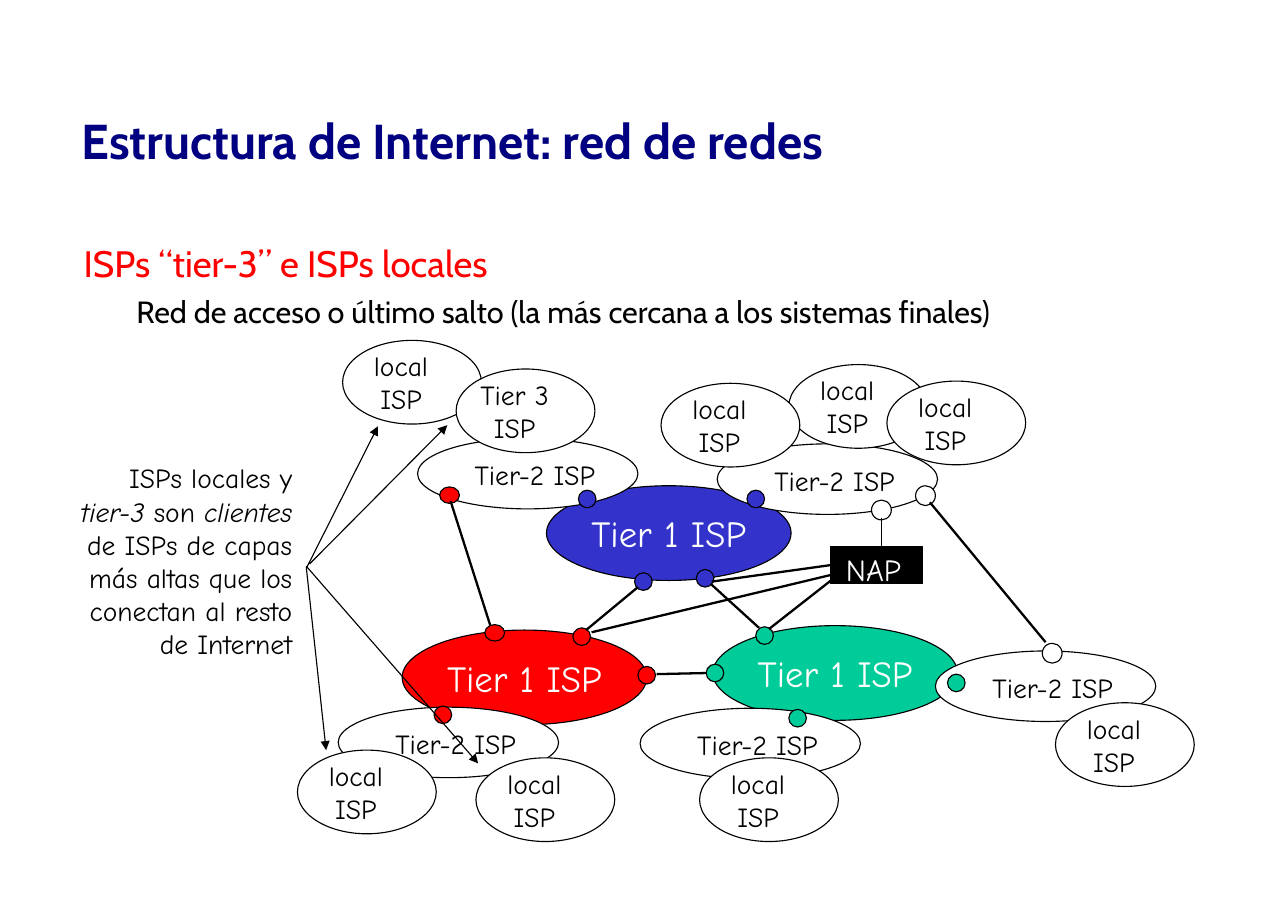
import pptx
import pptx.dml.color
import pptx.enum.shapes
import pptx.enum.text
import pptx.oxml
import pptx.util
from lxml import etree

Inches = pptx.util.Inches
Pt = pptx.util.Pt
RGBColor = pptx.dml.color.RGBColor
ALIGN = pptx.enum.text.PP_ALIGN
ANCHOR = pptx.enum.text.MSO_ANCHOR
SHAPE = pptx.enum.shapes.MSO_SHAPE

NAVY = RGBColor(0x00, 0x00, 0x80)
RED = RGBColor(0xFF, 0x00, 0x00)
BLUE = RGBColor(0x33, 0x33, 0xCC)
GREEN = RGBColor(0x00, 0xCC, 0x99)
WHITE = RGBColor(0xFF, 0xFF, 0xFF)
BLACK = RGBColor(0x00, 0x00, 0x00)
HEADING_FONT = "Cabin"
DIAGRAM_FONT = "Comic Neue"

presentation = pptx.Presentation()
presentation.slide_width = Inches(11.69)
presentation.slide_height = Inches(8.27)
slide = presentation.slides.add_slide(presentation.slide_layouts[6])
shapes = slide.shapes


def add_node(x, y, width, height, fill, kind=SHAPE.OVAL):
    """Add a filled network element with a thin black outline."""
    node = shapes.add_shape(kind, Inches(x), Inches(y), Inches(width), Inches(height))
    node.shadow.inherit = False
    node.fill.solid()
    node.fill.fore_color.rgb = fill
    node.line.color.rgb = BLACK
    node.line.width = Pt(0.75)
    return node


def add_label(x, y, width, height, text, size, color=BLACK, font=DIAGRAM_FONT,
              align=ALIGN.LEFT, wrap=False):
    """Add a text box, one paragraph per line of text."""
    label = shapes.add_textbox(Inches(x), Inches(y), Inches(width), Inches(height))
    frame = label.text_frame
    frame.word_wrap = wrap
    frame.text = text
    for paragraph in frame.paragraphs:
        paragraph.alignment = align
        paragraph.font.size = Pt(size)
        paragraph.font.name = font
        paragraph.font.color.rgb = color
    return frame


# Headings
title = add_label(0.64, 0.5, 10.5, 1.54, "Estructura de Internet: red de redes",
                  32, NAVY, HEADING_FONT, wrap=True)
title.vertical_anchor = ANCHOR.MIDDLE
title.paragraphs[0].font.bold = True

body = add_label(
    0.64, 2.14, 10.5, 1.25,
    "ISPs “tier-3” e ISPs locales\n"
    "Red de acceso o último salto (la más cercana a los sistemas finales)",
    20, BLACK, HEADING_FONT, wrap=True)
topic, detail = body.paragraphs
topic.font.size = Pt(24)
topic.font.color.rgb = RED
for paragraph, margin, indent, space in ((topic, 0.37, -0.35, 6), (detail, 0.81, -0.31, 5)):
    paragraph.space_before = Pt(space)
    properties = paragraph._p.get_or_add_pPr()
    properties.set("marL", str(Inches(margin)))
    properties.set("indent", str(Inches(indent)))

# Tier 1 backbones
for x, y, color in ((3.65, 5.72, RED), (4.96, 4.41, BLUE), (6.47, 5.68, GREEN)):
    backbone = add_node(x, y, 2.22, 0.86, color)
    frame = backbone.text_frame
    frame.word_wrap = False
    frame.vertical_anchor = ANCHOR.MIDDLE
    frame.text = "Tier 1 ISP"
    frame.paragraphs[0].alignment = ALIGN.CENTER
    font = frame.paragraphs[0].runs[0].font
    font.size = Pt(24)
    font.name = DIAGRAM_FONT
    font.color.rgb = WHITE

nap = add_node(7.54, 4.96, 0.83, 0.34, BLACK, SHAPE.RECTANGLE)
add_label(7.58, 4.95, 0.7, 0.42, "NAP", 20, WHITE)

# Tier 2 providers
for x, y in ((6.51, 4.03), (3.79, 3.98), (3.07, 6.42), (5.81, 6.43), (8.49, 5.91)):
    add_node(x, y, 2, 0.64, WHITE)
    add_label(x + 0.42, y + 0.13, 1.3, 0.39, "Tier-2 ISP", 18)

# Points of presence
for x, y, color in (
    (6.86, 5.69, GREEN), (6.32, 5.17, BLUE), (5.76, 5.2, BLUE),
    (5.2, 5.7, RED), (5.79, 6.05, RED), (6.41, 6.03, GREEN),
    (6.78, 4.45, BLUE), (5.25, 4.45, BLUE), (3.94, 6.41, RED),
    (7.16, 6.44, GREEN), (8.6, 6.12, GREEN),
):
    add_node(x, y, 0.16, 0.16, color)
for x, y in ((8.31, 4.41), (9.46, 5.84), (7.91, 4.54)):
    add_node(x, y, 0.18, 0.18, WHITE)
add_node(3.99, 4.42, 0.18, 0.15, RED)

# Tier 3 and local providers
for x, y, name in (
    (7.16, 3.31, "local"), (6, 3.48, "local"), (8.05, 3.46, "local"),
    (2.7, 6.81, "local"), (3.11, 3.09, "local"), (4.14, 3.35, "Tier 3"),
    (4.32, 6.88, "local"), (6.35, 6.88, "local"), (9.58, 6.38, "local"),
):
    add_node(x, y, 1.26, 0.76, WHITE)
    add_label(x + 0.08, y + 0.03, 0.9, 0.68, f"{name}\nISP", 18, align=ALIGN.CENTER)

# Explanation of the arrows
note = add_label(0.61, 4.14, 2.14, 1.83, "", 18, align=ALIGN.RIGHT, wrap=True)
for text, italic in (
    ("ISPs locales y ", False), ("tier-3", True), (" son ", False), ("clientes", True),
    (" de ISPs de capas más altas que los conectan al resto de Internet", False),
):
    run = note.paragraphs[0].add_run()
    run.text = text
    run.font.italic = italic

# Links between networks, then arrows from the explanation
LINKS = (
    (5.96, 6.12, 6.41, 6.11, 1.5), (6.45, 5.3, 6.89, 5.7, 1.5),
    (5.32, 5.72, 5.79, 5.33, 1.5), (7.58, 5.24, 6.98, 5.71, 1.5),
    (7.54, 5.13, 6.46, 5.28, 1.5), (7.54, 5.22, 5.37, 5.74, 1.5),
    (4.09, 4.55, 4.47, 5.74, 1.5), (8.44, 4.56, 9.49, 5.83, 1.5),
    (8, 4.7, 8, 4.97, 0.75),
)
ARROWS = (
    (2.78, 5.16, 3.43, 3.87, 0.75), (2.81, 5.12, 4.06, 3.86, 0.75),
    (2.78, 5.15, 2.96, 6.81, 0.75), (2.78, 5.14, 4.34, 6.93, 0.75),
)
for link in LINKS + ARROWS:
    x1, y1, x2, y2, width = link
    connector = shapes.add_connector(pptx.enum.shapes.MSO_CONNECTOR.STRAIGHT,
                                     Inches(x1), Inches(y1), Inches(x2), Inches(y2))
    connector.line.color.rgb = BLACK
    connector.line.width = Pt(width)
    properties = connector._element.spPr
    if link in ARROWS:
        etree.SubElement(properties.get_or_add_ln(),
                         pptx.oxml.ns.qn("a:tailEnd"), type="triangle")
    etree.SubElement(properties, pptx.oxml.ns.qn("a:effectLst"))
    if (x1, y1) == (7.54, 5.13):
        connector.begin_connect(nap, 1)

# The red backbone's point of presence lies over the end of its link
add_node(4.4, 5.67, 0.18, 0.15, RED)

presentation.save("out.pptx")
